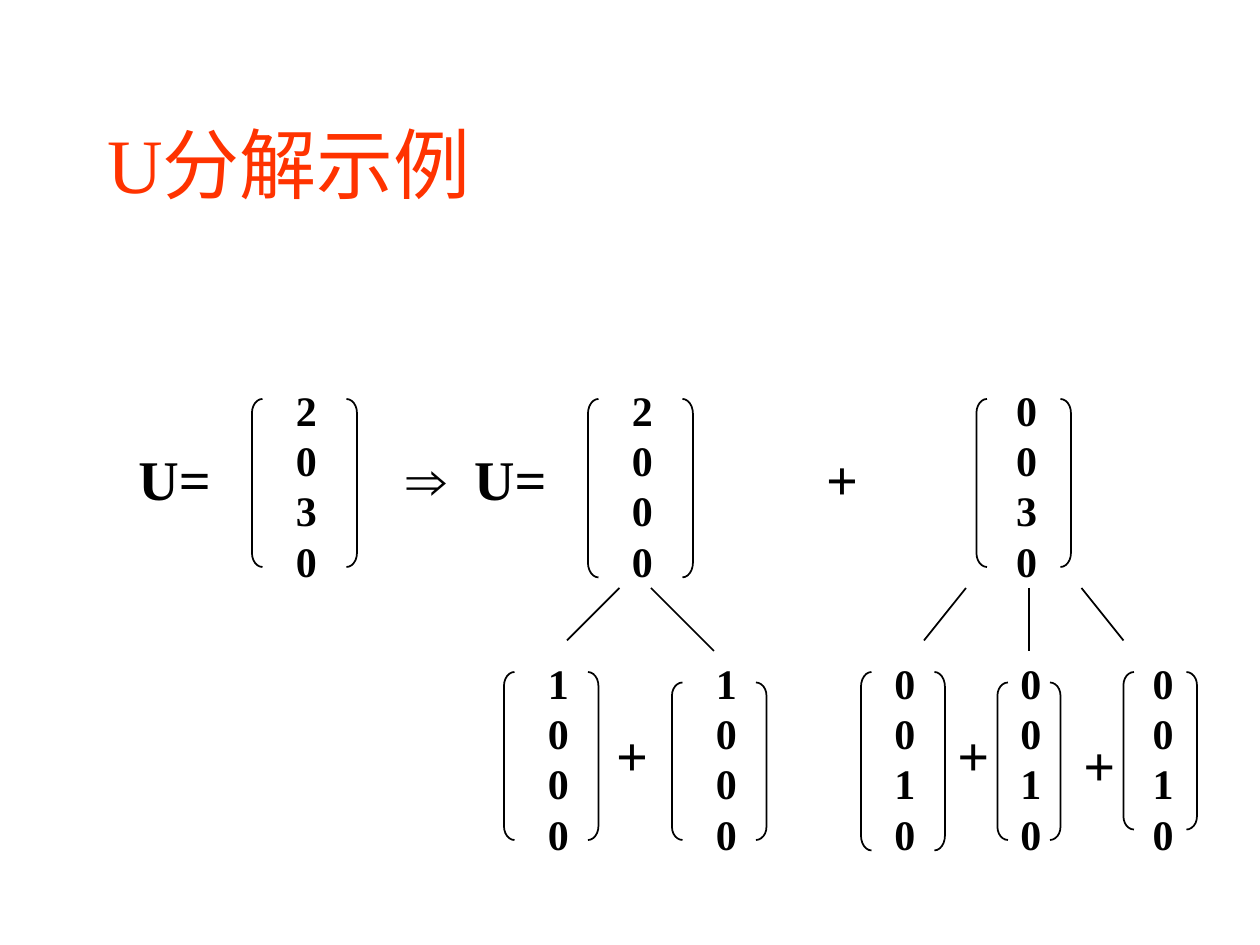
from lxml import etree
from pptx import Presentation
from pptx.dml.color import RGBColor
from pptx.enum.shapes import MSO_CONNECTOR, MSO_SHAPE
from pptx.enum.text import MSO_ANCHOR, PP_ALIGN
from pptx.oxml.ns import qn
from pptx.util import Inches, Pt

LEFT_BRACKET, RIGHT_BRACKET = MSO_SHAPE.LEFT_BRACKET, MSO_SHAPE.RIGHT_BRACKET
STRAIGHT = MSO_CONNECTOR.STRAIGHT
LEFT, MIDDLE = PP_ALIGN.LEFT, MSO_ANCHOR.MIDDLE
SERIF, SYMBOL = "Times New Roman", "Arial"
BLACK, RED = "000000", "FF3300"

deck = Presentation()
deck.slide_width, deck.slide_height = Inches(10), Inches(7.5)
CELL = deck.slide_width // 120
slide = deck.slides.add_slide(deck.slide_layouts[5])


def color(hex_value):
    return RGBColor.from_string(hex_value)


def add_label(words, column, row, columns, rows, size):
    box = slide.shapes.add_textbox(*(round(n * CELL) for n in (column, row, columns, rows)))
    frame = box.text_frame
    frame.word_wrap = True
    frame.text = words
    for paragraph in frame.paragraphs:
        paragraph.alignment = LEFT
        paragraph.font.name = SERIF
        paragraph.font.size = Pt(size)
        paragraph.font.bold = True
        paragraph.font.color.rgb = color(BLACK)
    return frame


title = slide.shapes.title
title.left, title.top, title.width, title.height = 9 * CELL, 8 * CELL, 102 * CELL, 15 * CELL
title.text_frame.text = "U分解示例"
title.text_frame.vertical_anchor = MIDDLE
heading = title.text_frame.paragraphs[0]
heading.alignment = LEFT
heading.font.name = SERIF
heading.font.size = Pt(44)
heading.font.color.rgb = color(RED)

vectors = [
    ("2030", 27, 36, 24, 34, 38, 54),
    ("2000", 59, 36, 56, 66, 38, 55),
    ("0030", 95.6, 36, 93, 102, 38, 54),
    ("1000", 51, 62, 48, 57, 64, 80),
    ("1000", 67, 62, 64, 73, 65, 80),
    ("0010", 84, 62, 82, 90, 64, 81),
    ("0010", 96, 62, 95, 101, 65, 80),
    ("0010", 108.6, 62, 107, 114, 64, 79),
]
for entries, column, row, left, right, top, bottom in vectors:
    add_label("\n".join(entries), column, row, 4.4, 20.4, 24)
    for bracket_kind, edge in ((LEFT_BRACKET, left), (RIGHT_BRACKET, right - 1)):
        bracket = slide.shapes.add_shape(
            bracket_kind, edge * CELL, top * CELL, CELL, (bottom - top) * CELL)
        bracket.adjustments[0] = (bottom - top) / 12
        bracket.shadow.inherit = False
        bracket.fill.background()
        bracket.line.color.rgb = color(BLACK)
        bracket.line.width = Pt(1)

add_label("U=", 12, 41.75, 10, 7.7, 32)
for column, row in ((77.5, 41.75), (57.5, 68), (90, 68), (102, 69)):
    add_label("+", column, row, 5.5, 7.7, 32)

implication = add_label("", 37.5, 41.7, 18, 7.7, 32)
statement = implication.paragraphs[0]
for words, font_name in (("⇒\t", SYMBOL), ("U=", SERIF)):
    run = statement.add_run()
    run.text = words
    run.font.name = font_name
tab_list = etree.Element(qn("a:tabLst"))
etree.SubElement(tab_list, qn("a:tab"), pos=str(Inches(0.54)), algn="l")
statement._p.pPr.insert(0, tab_list)

branches = [
    (59, 54, 61),
    (62, 68, 62),
    (92, 88, 61),
    (98, 98, 62),
    (103, 107, 61),
]
for start, end, bottom in branches:
    branch = slide.shapes.add_connector(
        STRAIGHT, start * CELL, 56 * CELL, end * CELL, bottom * CELL)
    branch.line.color.rgb = color(BLACK)
    branch.line.width = Pt(1)
    etree.SubElement(branch._element.spPr, qn("a:effectLst"))

deck.save("out.pptx")
